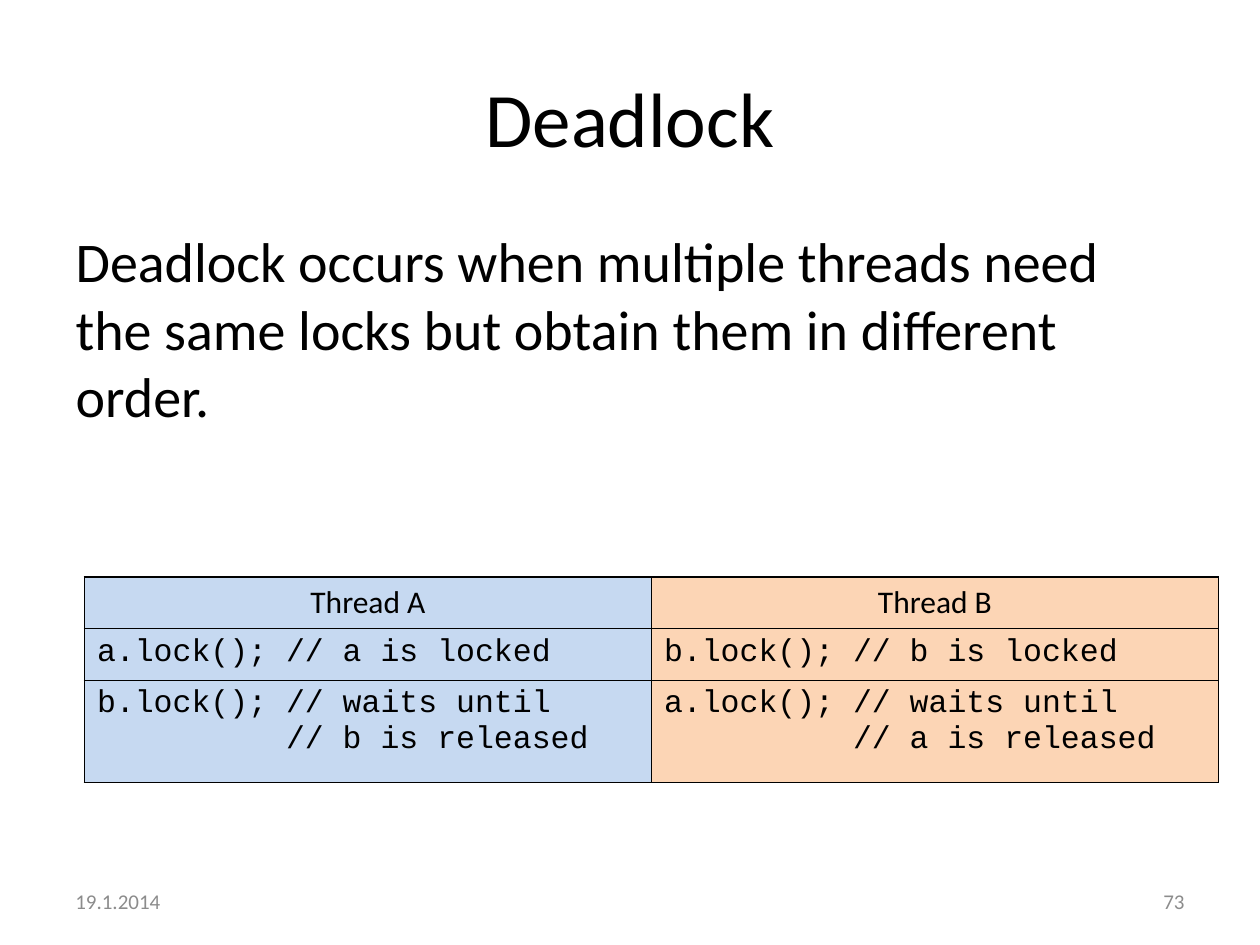
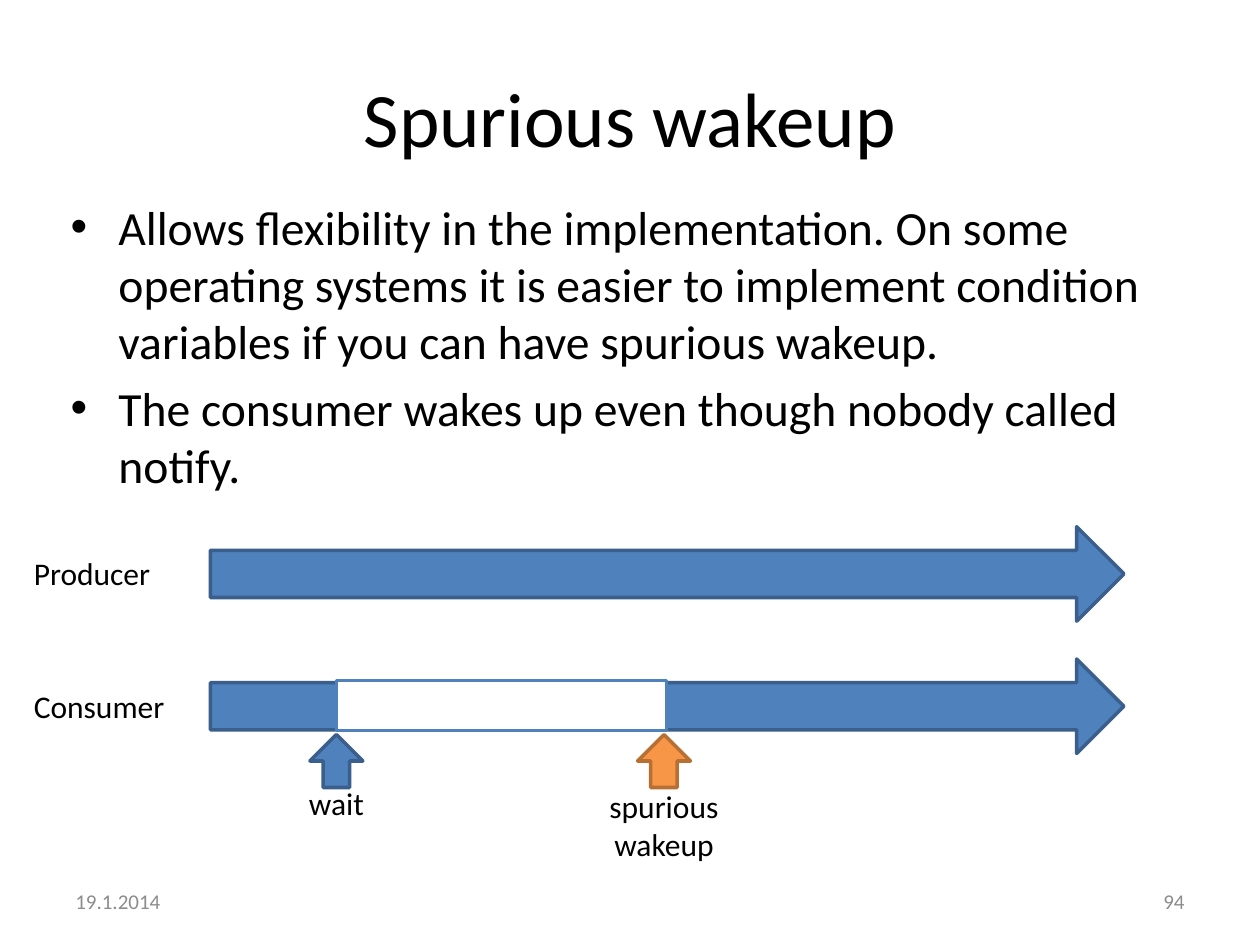
from lxml.etree import SubElement
from pptx import Presentation
from pptx.dml.color import RGBColor
from pptx.enum.shapes import MSO_SHAPE
from pptx.enum.text import MSO_ANCHOR, MSO_AUTO_SIZE, PP_ALIGN
from pptx.oxml.ns import qn
from pptx.util import Pt

PX = 9144
BLACK = RGBColor(0x00, 0x00, 0x00)
WHITE = RGBColor(0xFF, 0xFF, 0xFF)
GREY = RGBColor(0x8C, 0x8C, 0x8C)
BLUE = RGBColor(0x4F, 0x81, 0xBD)
DARK_BLUE = RGBColor(0x3A, 0x5F, 0x8C)
ORANGE = RGBColor(0xF7, 0x96, 0x46)
DARK_ORANGE = RGBColor(0xB7, 0x6F, 0x34)
PALE_BLUE = RGBColor(0xC6, 0xD9, 0xF1)
PALE_ORANGE = RGBColor(0xFC, 0xD5, 0xB5)
BODY_FONT = "Calibri"
CODE_FONT = "Courier New"
DATE = "19.1.2014"
TITLE_BOX = (50, 30, 900, 125)
FOOTER_BOX = (50, 695, 900, 40)


def emu(*lengths):
    """Turn px lengths into EMU."""
    return [length * PX for length in lengths]


def style_text(frame, size, color=BLACK, align=PP_ALIGN.LEFT, font=BODY_FONT):
    """Format every run and line break of a text frame alike."""
    for paragraph in frame.paragraphs:
        paragraph.alignment = align
        paragraph.font.size = Pt(size)
        for run in paragraph.runs:
            run.font.name = font
            run.font.size = Pt(size)
            run.font.color.rgb = color


def fill_placeholder(placeholder, box, text):
    """Move a placeholder to a box and give it text."""
    placeholder.left, placeholder.top, placeholder.width, placeholder.height = emu(*box)
    frame = placeholder.text_frame
    frame.text = text
    frame.word_wrap = True
    frame.auto_size = MSO_AUTO_SIZE.NONE
    return frame


def add_label(page, box, text, size=18, color=BLACK, align=PP_ALIGN.LEFT,
              anchor=MSO_ANCHOR.TOP):
    """Add a wrapped text box."""
    frame = page.shapes.add_textbox(*emu(*box)).text_frame
    frame.word_wrap = True
    frame.vertical_anchor = anchor
    frame.text = text
    style_text(frame, size, color, align)


def add_footer(page, box, number):
    """Add the date at the left and the page number at the right."""
    left, top, width, height = box
    part = 233
    for x, text, align in ((left, DATE, PP_ALIGN.LEFT),
                           (left + width - part, number, PP_ALIGN.RIGHT)):
        add_label(page, (x, top, part, height), text, 12, GREY, align, MSO_ANCHOR.MIDDLE)


def add_page(deck, title, number):
    """Add a page with its title and footer."""
    page = deck.slides.add_slide(deck.slide_layouts[1])
    frame = fill_placeholder(page.shapes.title, TITLE_BOX, title)
    frame.vertical_anchor = MSO_ANCHOR.MIDDLE
    style_text(frame, 44, align=PP_ALIGN.CENTER)
    add_footer(page, FOOTER_BOX, number)
    return page


def add_body(page, box, text, size, indent=0, line_spacing=1.0):
    """Fill the body placeholder, with bullets when there is an indent."""
    frame = fill_placeholder(page.placeholders[1], box, text)
    for index, paragraph in enumerate(frame.paragraphs):
        properties = paragraph._p.get_or_add_pPr()
        properties.set("marL", str(indent * PX))
        properties.set("indent", str(-indent * PX))
        if indent:
            SubElement(properties, qn("a:buChar"), char="•")
        else:
            SubElement(properties, qn("a:buNone"))
        paragraph.space_before = Pt(size * 0.2 if index else 0)
        paragraph.line_spacing = line_spacing
    style_text(frame, size)


def add_cell_borders(cell):
    """Draw a thin black line on each side of a cell."""
    properties = cell._tc.get_or_add_tcPr()
    for side in ("lnL", "lnR", "lnT", "lnB"):
        line = SubElement(properties, qn(f"a:{side}"), w=str(Pt(1)))
        fill = SubElement(line, qn("a:solidFill"))
        SubElement(fill, qn("a:srgbClr"), val=str(BLACK))


def add_thread_table(page, box, threads, row_heights):
    """Add a table with one coloured column of code per thread."""
    table = page.shapes.add_table(len(row_heights), len(threads), *emu(*box)).table
    table.first_row = table.horz_banding = False
    for row, height in zip(table.rows, row_heights):
        row.height = height * PX
    for column, (color, texts) in enumerate(threads):
        table.columns[column].width = box[2] * PX // len(threads)
        for row, text in enumerate(texts):
            cell = table.cell(row, column)
            cell.text = text
            add_cell_borders(cell)
            cell.fill.solid()
            cell.fill.fore_color.rgb = color
            if row:
                style_text(cell.text_frame, 18, font=CODE_FONT)
            else:
                style_text(cell.text_frame, 18, align=PP_ALIGN.CENTER)


def add_block(page, kind, box, fill, line):
    """Add a filled and outlined shape."""
    shape = page.shapes.add_shape(kind, *emu(*box))
    shape.shadow.inherit = False
    shape.fill.solid()
    shape.fill.fore_color.rgb = fill
    shape.line.color.rgb = line
    shape.line.width = Pt(2)


def add_timeline(page, box):
    """Draw both thread lanes, the waiting gap and its two marks."""
    left, top, width, height = box
    for lane, (name, label_width) in enumerate((("Producer", 125), ("Consumer", 150))):
        y = top + 105 * lane
        add_block(page, MSO_SHAPE.RIGHT_ARROW, (left + 150, y, width - 150, 75),
                  BLUE, DARK_BLUE)
        add_label(page, (left, y + 17, label_width, 40), name)
    add_block(page, MSO_SHAPE.RECTANGLE, (left + 250, top + 122, 262, 40), WHITE, BLUE)

    marks = (("wait", 250, 76, 199, 40, BLUE, DARK_BLUE),
             ("spurious\vwakeup", 510, 114, 202, 71, ORANGE, DARK_ORANGE))
    for text, center, label_width, label_top, label_height, fill, line in marks:
        x = left + center
        add_block(page, MSO_SHAPE.UP_ARROW, (x - 21, top + 165, 42, 42), fill, line)
        add_label(page, (x - label_width // 2, top + label_top, label_width, label_height),
                  text, align=PP_ALIGN.CENTER)


def build_deadlock(deck):
    """Build the page on deadlock."""
    page = add_page(deck, "Deadlock", "73")
    add_body(page, (50, 175, 900, 175),
             "Deadlock occurs when multiple threads need the same locks "
             "but obtain them in different order.", 32)
    threads = [
        (color, (f"Thread {own.upper()}",
                 f"{own}.lock(); // {own} is locked",
                 f"{other}.lock(); // waits until\n          // {other} is released"))
        for color, own, other in ((PALE_BLUE, "a", "b"), (PALE_ORANGE, "b", "a"))
    ]
    add_thread_table(page, (67, 458, 900, 163), threads, (41, 41, 81))


def build_spurious_wakeup(deck):
    """Build the page on spurious wakeup."""
    page = add_page(deck, "Spurious wakeup", "94")
    add_body(page, (46, 152, 900, 237),
             "Allows flexibility in the implementation. On some operating systems it is "
             "easier to implement condition variables if you can have spurious wakeup.\n"
             "The consumer wakes up even though nobody called notify.",
             27.2, indent=38)
    add_timeline(page, (17, 418, 875, 273))


def main():
    """Build and save the deck."""
    deck = Presentation()
    deck.slide_width, deck.slide_height = emu(1000, 750)
    build_deadlock(deck)
    build_spurious_wakeup(deck)
    deck.save("out.pptx")


if __name__ == "__main__":
    main()
